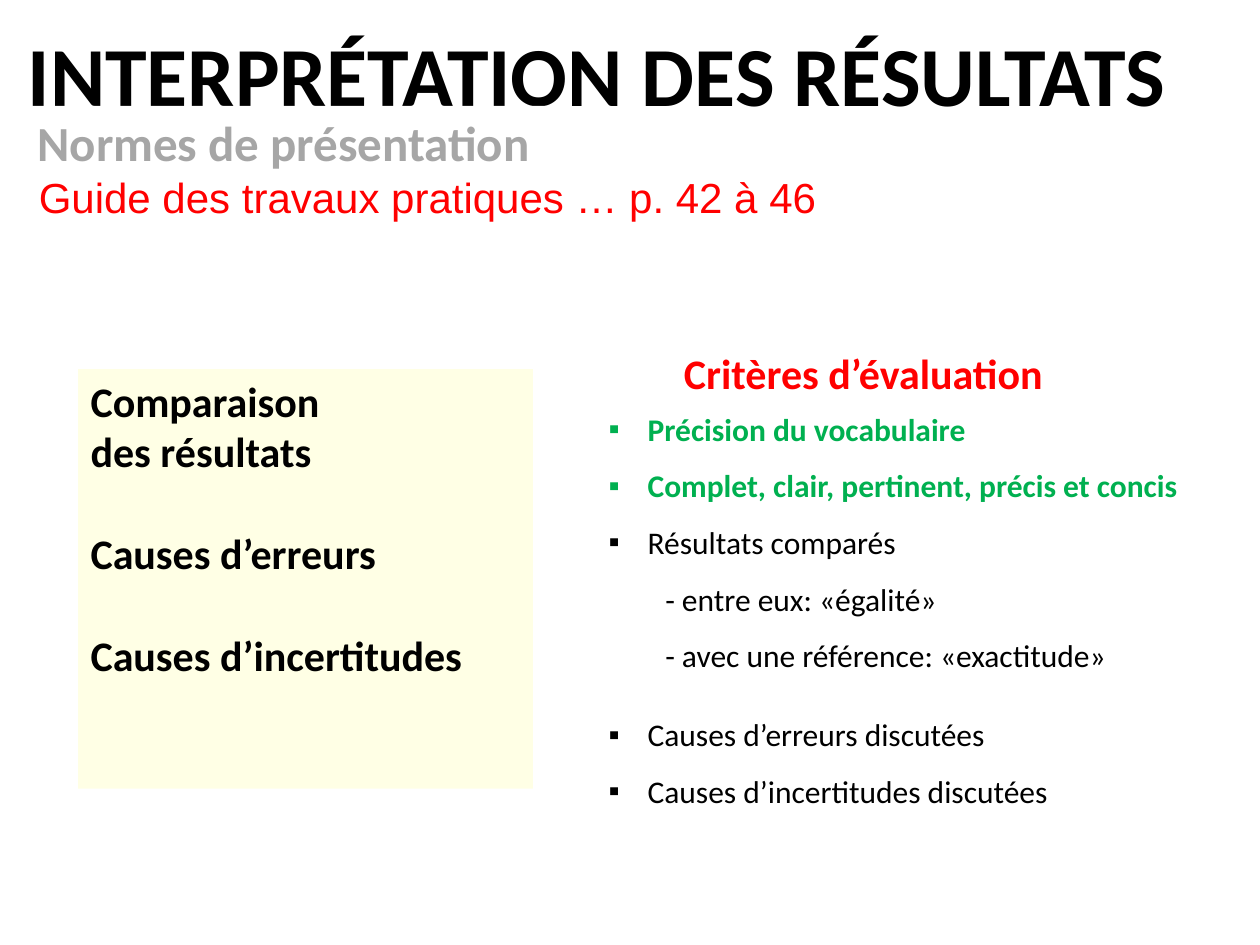
"""Build the slide on interpreting results and its assessment criteria."""
import dataclasses
import typing

import lxml.etree
import pptx
import pptx.dml.color
import pptx.enum.shapes
import pptx.enum.text
import pptx.oxml.ns
import pptx.util

Inches = pptx.util.Inches
Pt = pptx.util.Pt
BLACK, RED, GREEN, GREY = "000000", "FF0000", "00B050", "A6A6A6"
WHITE, CREAM = "FFFFFF", "FFFFE5"


@dataclasses.dataclass
class Line:
    text: str
    size: float
    color: str = BLACK
    bold: bool = False
    font: str = "Calibri"
    spacing: float = 1.0
    before: float = 0
    bullet: str = ""
    margin: float = 0
    hanging: float = 0


@dataclasses.dataclass
class Box:
    left: float
    top: float
    width: float
    height: float
    lines: list[Line]
    fill: str = ""
    wrap: bool = False


def rgb(color: str) -> pptx.dml.color.RGBColor:
    return pptx.dml.color.RGBColor.from_string(color)


def set_bullet(paragraph: typing.Any, line: Line) -> None:
    properties = paragraph._p.get_or_add_pPr()
    properties.set("marL", str(Inches(line.margin)))
    properties.set("indent", str(-Inches(line.hanging)))
    qualify = pptx.oxml.ns.qn
    if line.bullet:
        lxml.etree.SubElement(properties, qualify("a:buFont"), typeface="Arial")
        lxml.etree.SubElement(properties, qualify("a:buChar"), char=line.bullet)
    else:
        lxml.etree.SubElement(properties, qualify("a:buNone"))


def write_box(shape: typing.Any, box: Box) -> None:
    shape.left, shape.top = Inches(box.left), Inches(box.top)
    shape.width, shape.height = Inches(box.width), Inches(box.height)
    if box.fill:
        shape.fill.solid()
        shape.fill.fore_color.rgb = rgb(box.fill)
    frame = shape.text_frame
    frame.word_wrap = box.wrap
    frame.auto_size = pptx.enum.text.MSO_AUTO_SIZE.NONE
    frame.vertical_anchor = pptx.enum.text.MSO_ANCHOR.TOP
    for index, line in enumerate(box.lines):
        paragraph = frame.add_paragraph() if index else frame.paragraphs[0]
        paragraph.alignment = pptx.enum.text.PP_ALIGN.LEFT
        paragraph.line_spacing = line.spacing
        paragraph.space_before = Pt(line.before)
        set_bullet(paragraph, line)
        run = paragraph.add_run()
        run.text = line.text
        run.font.name = line.font
        run.font.size = Pt(line.size)
        run.font.bold = line.bold
        run.font.color.rgb = rgb(line.color)


def add_text(slide: typing.Any, box: Box) -> None:
    write_box(slide.shapes.add_textbox(0, 0, 0, 0), box)


def add_panel(slide: typing.Any, box: Box) -> None:
    rectangle = pptx.enum.shapes.MSO_SHAPE.RECTANGLE
    shape = slide.shapes.add_shape(rectangle, 0, 0, 0, 0)
    shape.shadow.inherit = False
    shape.line.fill.background()
    write_box(shape, box)


def criterion(text: str, color: str = BLACK, before: float = 0) -> Line:
    return Line(text, 18, color, color == GREEN, spacing=1.5, before=before,
                bullet="▪", margin=0.31, hanging=0.31)


def detail(text: str) -> Line:
    return Line(text, 18, spacing=1.5, margin=0.45)


def topic(text: str, before: float = 0) -> Line:
    return Line(text, 24, bold=True, before=before)


TITLE = Box(0.12, 0.13, 9.32, 0.91, [Line("INTERPRÉTATION DES RÉSULTATS", 48, bold=True)])
GUIDE = Box(0.21, 1.31, 6.43, 0.91,
            [Line("Guide des travaux pratiques … p. 42 à 46", 24, RED, font="Arial")])
SUBTITLE = Box(0.2, 0.84, 4.16, 0.57,
               [Line("Normes de présentation", 28, GREY, True)], WHITE)
HEADING = Box(5.33, 2.51, 3.08, 0.71,
              [Line("Critères d’évaluation", 24, RED, True, spacing=1.5)])
TOPICS = Box(0.62, 2.93, 3.61, 3.33, [
    topic("Comparaison"),
    topic("des résultats"),
    topic("Causes d’erreurs", 29.3),
    topic("Causes d’incertitudes", 29.3),
], CREAM, True)
CRITERIA = Box(4.73, 3.05, 5.17, 4.02, [
    criterion("Précision du vocabulaire", GREEN),
    criterion("Complet, clair, pertinent, précis et concis", GREEN),
    criterion("Résultats comparés"),
    detail("- entre eux: «égalité»"),
    detail("- avec une référence: «exactitude»"),
    criterion("Causes d’erreurs discutées", before=12.8),
    criterion("Causes d’incertitudes discutées"),
], wrap=True)


def main() -> None:
    presentation = pptx.Presentation()
    presentation.slide_width = Inches(10)
    presentation.slide_height = Inches(7.5)
    slide = presentation.slides.add_slide(presentation.slide_layouts[1])
    write_box(slide.shapes.title, TITLE)
    write_box(slide.placeholders[1], CRITERIA)
    add_text(slide, GUIDE)
    add_panel(slide, SUBTITLE)
    add_text(slide, HEADING)
    add_panel(slide, TOPICS)
    presentation.save("out.pptx")


if __name__ == "__main__":
    main()
